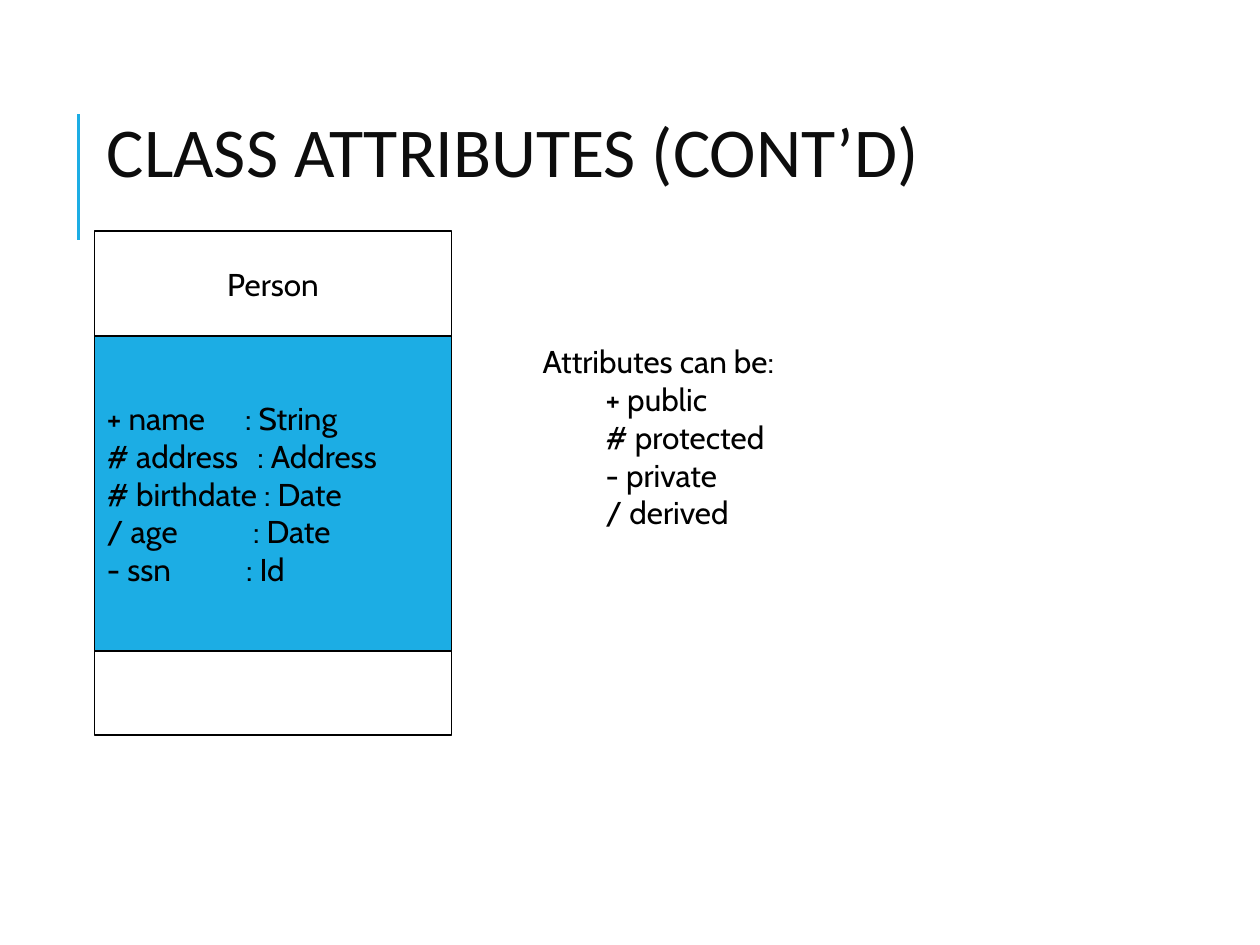
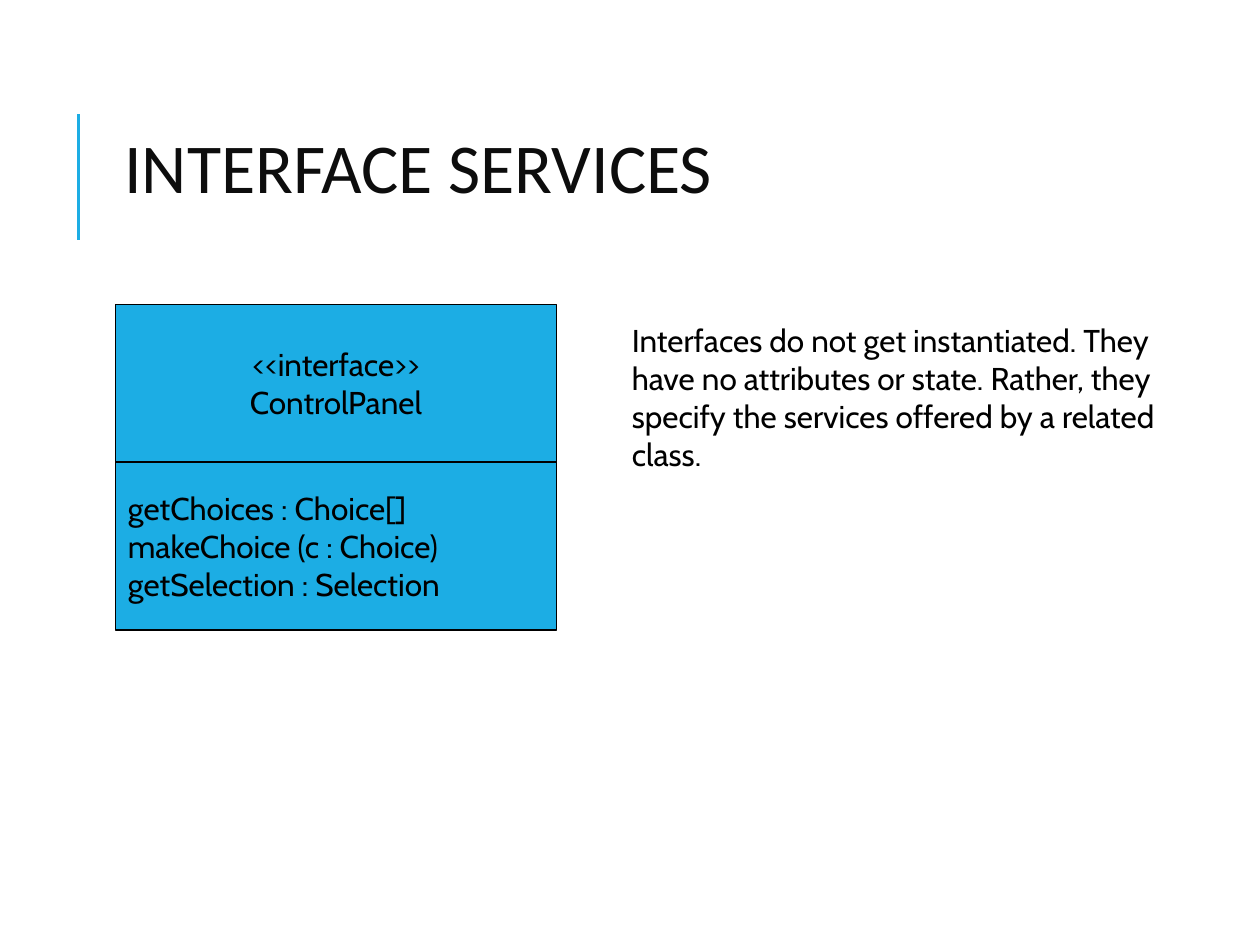
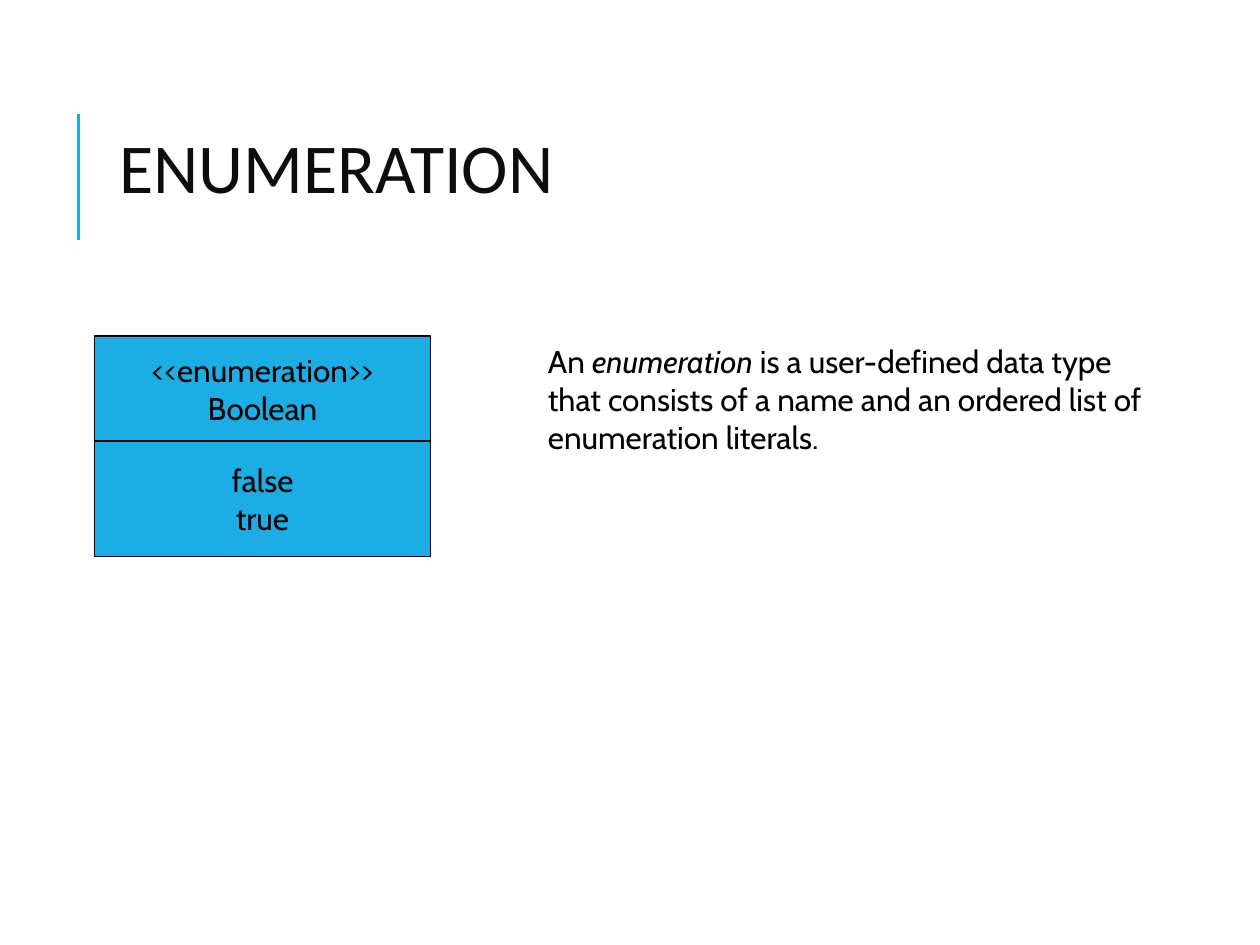
from dataclasses import dataclass

from lxml import etree
from pptx import Presentation
from pptx.dml.color import RGBColor
from pptx.enum.shapes import MSO_CONNECTOR, MSO_SHAPE
from pptx.enum.text import MSO_ANCHOR, PP_ALIGN
from pptx.oxml.ns import qn
from pptx.util import Pt

RECTANGLE = MSO_SHAPE.RECTANGLE
STRAIGHT = MSO_CONNECTOR.STRAIGHT
MIDDLE = MSO_ANCHOR.MIDDLE
TOP = MSO_ANCHOR.TOP
LEFT = PP_ALIGN.LEFT
CENTER = PP_ALIGN.CENTER

COLORS = {
    "accent": "1CADE4",
    "title": "0D0D0D",
    "text": "000000",
    "outline": "000000",
    "paper": "FFFFFF",
}


def color(name):
    return RGBColor.from_string(COLORS[name])


@dataclass
class Line:
    text: str
    italic_word: str = ""
    indent: float = 0
    tab: float = 0

    def runs(self):
        if not self.italic_word:
            return [(self.text, False)]
        before, word, after = self.text.partition(self.italic_word)
        return [(before, False), (word, True), (after, False)]


@dataclass
class Compartment:
    height: float
    lines: list
    align: PP_ALIGN = CENTER
    fill: str = "accent"


class Deck:
    title_font, title_size = "Calibri", 40
    body_font, body_size = "Cabin", 18

    def __init__(self):
        self.presentation = Presentation()
        self.presentation.slide_width = Pt(720)
        self.presentation.slide_height = Pt(540)
        self.slide = None

    def add_slide(self, title, left, top):
        layout = self.presentation.slide_layouts[6]
        self.slide = self.presentation.slides.add_slide(layout)
        self.accent_bar()
        self.title(title, left, top)

    def accent_bar(self):
        bar = self.slide.shapes.add_connector(STRAIGHT, Pt(45), Pt(137), Pt(45), Pt(65))
        bar.line.color.rgb = color("accent")
        bar.line.width = Pt(1.5)
        etree.SubElement(bar._element.spPr, qn("a:effectLst"))

    def title(self, text, left, top):
        shape = self.slide.shapes.add_textbox(Pt(left), Pt(top), Pt(618), Pt(42))
        self.frame(shape, MIDDLE)
        paragraph = shape.text_frame.paragraphs[0]
        paragraph.line_spacing = 0.8
        self.run(paragraph, text, self.title_font, self.title_size, "title")

    def frame(self, shape, anchor):
        frame = shape.text_frame
        frame.word_wrap = True
        frame.vertical_anchor = anchor
        frame.margin_left = frame.margin_right = Pt(7.2)
        frame.margin_top = frame.margin_bottom = Pt(3.6)

    def run(self, paragraph, text, font, size, color_name, italic=False):
        run = paragraph.add_run()
        run.text = text
        run.font.name = font
        run.font.size = Pt(size)
        run.font.italic = italic
        run.font.color.rgb = color(color_name)

    def body(self, shape, lines, align, anchor):
        self.frame(shape, anchor)
        frame = shape.text_frame
        for index, line in enumerate(lines):
            paragraph = frame.add_paragraph() if index else frame.paragraphs[0]
            paragraph.alignment = align
            properties = paragraph._p.get_or_add_pPr()
            if line.indent:
                properties.set("marL", str(Pt(line.indent)))
            if line.tab:
                tabs = etree.SubElement(properties, qn("a:tabLst"))
                etree.SubElement(tabs, qn("a:tab"), pos=str(Pt(line.tab)), algn="l")
            for text, italic in line.runs():
                self.run(paragraph, text, self.body_font, self.body_size, "text", italic)

    def note(self, left, top, width, height, lines):
        shape = self.slide.shapes.add_textbox(Pt(left), Pt(top), Pt(width), Pt(height))
        self.body(shape, lines, LEFT, TOP)

    def class_box(self, left, top, width, compartments):
        for compartment in compartments:
            shape = self.slide.shapes.add_shape(
                RECTANGLE, Pt(left), Pt(top), Pt(width), Pt(compartment.height)
            )
            shape.shadow.inherit = False
            shape.fill.solid()
            shape.fill.fore_color.rgb = color(compartment.fill)
            shape.line.color.rgb = color("outline")
            shape.line.width = Pt(0.75)
            self.body(shape, compartment.lines, compartment.align, MIDDLE)
            top += compartment.height


def class_attributes(deck):
    deck.add_slide("CLASS ATTRIBUTES (CONT’D)", 54, 69)
    attributes = [
        Line("+ name\t: String", tab=79),
        Line("# address\t: Address", tab=86),
        Line("# birthdate : Date"),
        Line("/ age\t: Date", tab=83.5),
        Line("- ssn\t: Id", tab=79.5),
    ]
    deck.class_box(54, 132, 204, [
        Compartment(60, [Line("Person")], fill="paper"),
        Compartment(180, attributes, LEFT),
        Compartment(48, [], fill="paper"),
    ])
    kinds = ["+ public", "# protected", "- private", "/ derived"]
    deck.note(303, 192, 164, 115, [
        Line("Attributes can be:"),
        *[Line(kind, indent=36) for kind in kinds],
    ])


def interface_services(deck):
    deck.add_slide("INTERFACE SERVICES", 64, 78)
    services = [
        "getChoices : Choice[]",
        "makeChoice (c : Choice)",
        "getSelection : Selection",
    ]
    deck.note(354, 180, 348, 94, [Line(
        "Interfaces do not get instantiated. They have no attributes or state. "
        "Rather, they specify the services offered by a related class."
    )])
    deck.class_box(66, 174, 252, [
        Compartment(90, [Line("<<interface>>"), Line("ControlPanel")]),
        Compartment(96, [Line(service) for service in services], LEFT),
    ])


def enumeration(deck):
    deck.add_slide("ENUMERATION", 61, 78)
    deck.class_box(54, 192, 192, [
        Compartment(60, [Line("<<enumeration>>"), Line("Boolean")]),
        Compartment(66, [Line("false"), Line("true")]),
    ])
    deck.note(306, 192, 370, 72, [Line(
        "An enumeration is a user-defined data type that consists of a name "
        "and an ordered list of enumeration literals.",
        italic_word="enumeration",
    )])


def main():
    deck = Deck()
    class_attributes(deck)
    interface_services(deck)
    enumeration(deck)
    deck.presentation.save("out.pptx")


if __name__ == "__main__":
    main()
